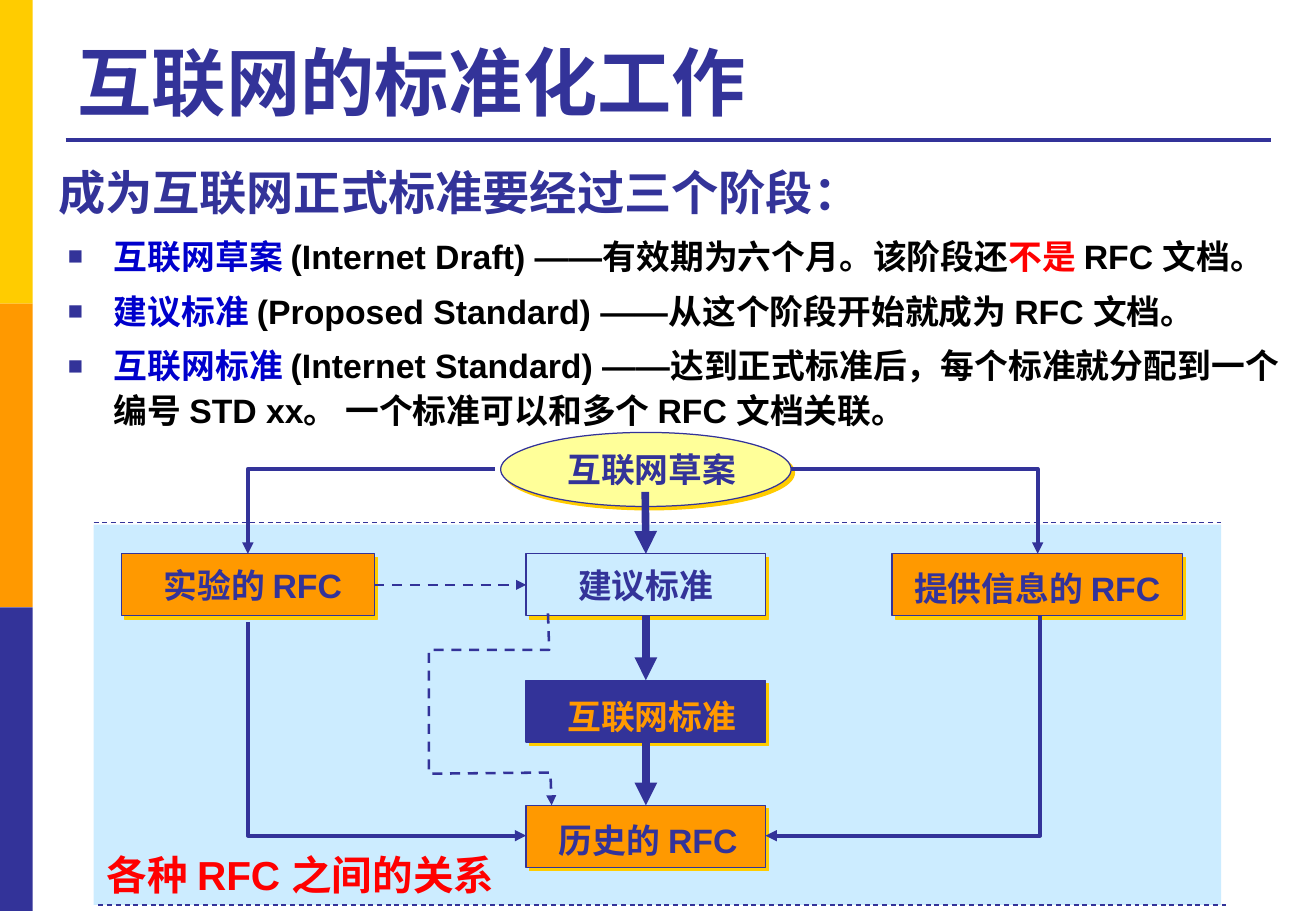
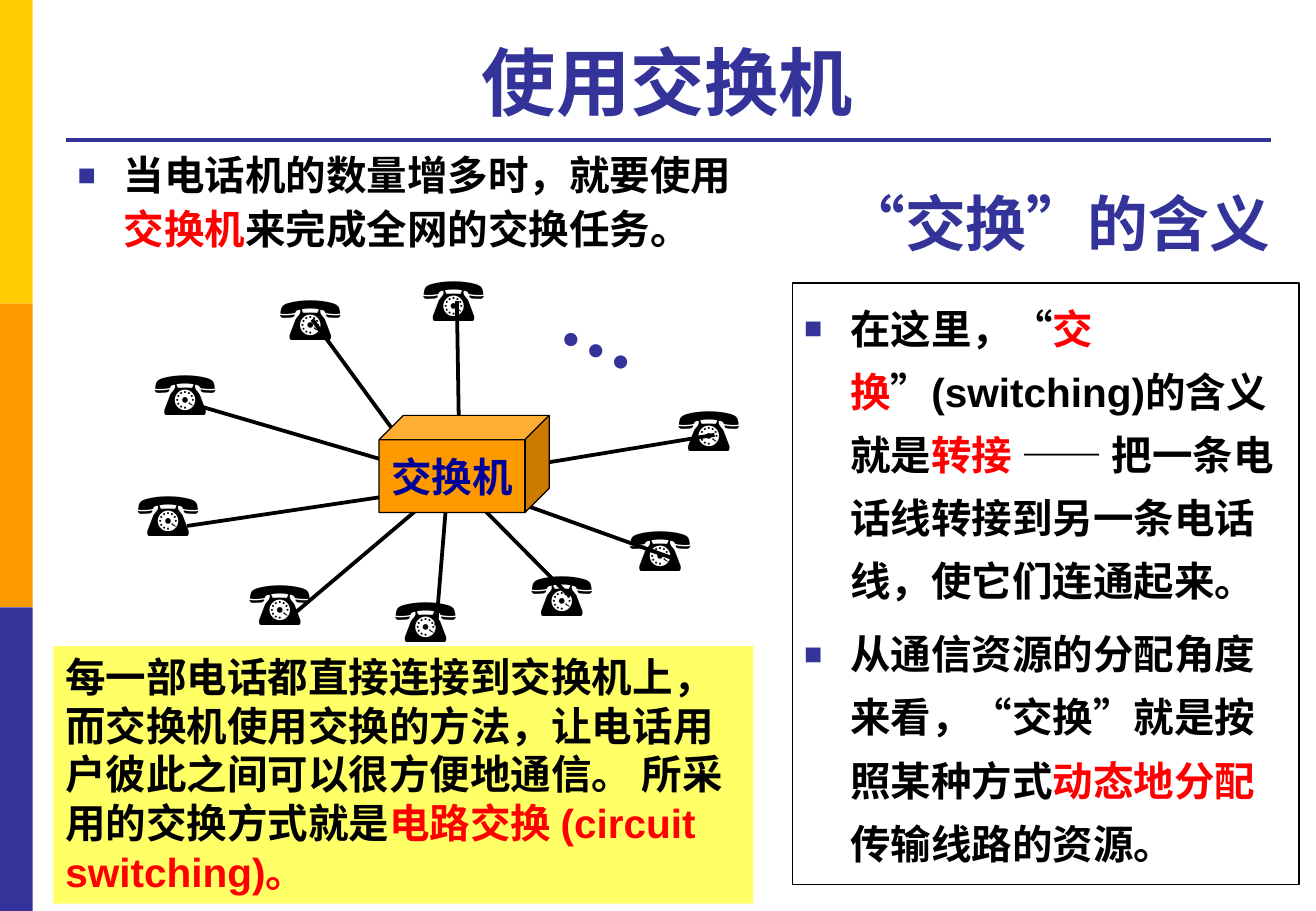
import pptx
import pptx.util
import pptx.dml.color
import pptx.enum.dml
import pptx.enum.lang
import pptx.enum.shapes
import pptx.enum.text
import pptx.oxml
import pptx.oxml.ns
from pptx.util import Inches

SHAPES = pptx.enum.shapes.MSO_SHAPE
ALIGN = pptx.enum.text.PP_ALIGN
ANCHOR = pptx.enum.text.MSO_ANCHOR
AUTO_SIZE = pptx.enum.text.MSO_AUTO_SIZE
CHINESE = pptx.enum.lang.MSO_LANGUAGE_ID.SIMPLIFIED_CHINESE

INDIGO, ORANGE, GOLD = "333399", "FF9900", "FFCC00"
SKY, BLUE, RED, BLACK = "CCECFF", "0000CC", "FF0000", "000000"


def color(hex_string):
    return pptx.dml.color.RGBColor.from_string(hex_string)


def add_xml(parent, xml):
    namespace = pptx.oxml.ns.nsdecls("a")
    parent.append(pptx.oxml.parse_xml(xml.replace(" ", f" {namespace} ", 1)))


def find_part(shape, tag):
    return shape._element.spPr.find(pptx.oxml.ns.qn(tag))


class Deck:
    """Holds the shared style and the slide being filled."""

    title_box = (0.54, 0.21, 9.91, 0.87)

    def __init__(self):
        self.presentation = pptx.Presentation()
        self.presentation.slide_width = Inches(10.83)
        self.presentation.slide_height = Inches(7.5)
        self.slide = None

    def new_slide(self, title, align=ALIGN.LEFT):
        layout = self.presentation.slide_layouts[6]
        self.slide = self.presentation.slides.add_slide(layout)
        # Side bands, rule and title
        for index, fill in enumerate((GOLD, ORANGE, INDIGO)):
            self.box((0, 2.5 * index, 0.27, 2.5), fill)
        self.line((0.54, 1.15), (10.46, 1.15))
        self.heading(self.title_box, title, 44, align)

    def box(self, place, fill=None, line=None, kind=SHAPES.RECTANGLE, shadow=False):
        shape = self.slide.shapes.add_shape(kind, *map(Inches, place))
        if fill:
            shape.fill.solid()
            shape.fill.fore_color.rgb = color(fill)
        else:
            shape.fill.background()
        if line:
            self.stroke(shape, line, 0.75)
        else:
            shape.line.fill.background()
        shape.shadow.inherit = False
        if shadow:
            add_xml(find_part(shape, "a:effectLst"),
                    '<a:outerShdw dist="35921" dir="2700000" algn="ctr" rotWithShape="0">'
                    f'<a:srgbClr val="{GOLD}"/></a:outerShdw>')
        return shape

    def node(self, place, text, fill, text_color=INDIGO, kind=SHAPES.RECTANGLE, nudge=(0, 0)):
        """A shadowed box of the flow; nudge moves its label right and down."""
        shape = self.box(place, fill, INDIGO, kind, shadow=True)
        self.add_text(shape, [[(text, text_color)]], 20, ALIGN.CENTER, ANCHOR.MIDDLE)
        self.insets(shape, left=2 * nudge[0], top=2 * nudge[1])
        return shape

    def insets(self, shape, left=0, top=0):
        frame = shape.text_frame
        frame.margin_left, frame.margin_top = Inches(left), Inches(top)
        frame.margin_right = frame.margin_bottom = 0

    def stroke(self, shape, line_color, width, dashed=False, arrow=False):
        shape.line.color.rgb = color(line_color)
        shape.line.width = pptx.util.Pt(width)
        if dashed:
            shape.line.dash_style = pptx.enum.dml.MSO_LINE.DASH
        if arrow:
            add_xml(find_part(shape, "a:ln"), '<a:tailEnd type="triangle"/>')

    def line(self, start, end, line_color=INDIGO, width=2.25, dashed=False, arrow=False,
             begin=None, finish=None):
        """Straight line; begin and finish are (shape, side) to join."""
        connector = self.slide.shapes.add_connector(
            pptx.enum.shapes.MSO_CONNECTOR.STRAIGHT, *map(Inches, (*start, *end)))
        if begin:
            connector.begin_connect(*begin)
        if finish:
            connector.end_connect(*finish)
        self.stroke(connector, line_color, width, dashed, arrow)
        add_xml(connector._element.spPr, "<a:effectLst />")

    def route(self, points, width=2.25, dashed=False):
        """Bent open arrow through the given points."""
        points = [(Inches(x), Inches(y)) for x, y in points]
        builder = self.slide.shapes.build_freeform(*points[0])
        builder.add_line_segments(points[1:], close=False)
        shape = builder.convert_to_shape()
        shape.fill.background()
        shape.shadow.inherit = False
        self.stroke(shape, INDIGO, width, dashed, arrow=True)

    def text(self, place, paragraphs, size, **style):
        shape = self.slide.shapes.add_textbox(*map(Inches, place))
        self.add_text(shape, paragraphs, size, **style)
        return shape

    def heading(self, place, text, size, align=ALIGN.LEFT, text_color=INDIGO):
        self.text(place, [[(text, text_color)]], size, align=align, anchor=ANCHOR.BOTTOM)

    def symbol(self, place, text, size, text_color, bold=False):
        shape = self.text(place, [[(text, text_color)]], size, font="Times New Roman",
                          bold=bold, wrap=False)
        shape.text_frame.auto_size = AUTO_SIZE.SHAPE_TO_FIT_TEXT
        return shape

    def add_text(self, shape, paragraphs, size, align=ALIGN.LEFT, anchor=ANCHOR.TOP,
                 font="Arial", bold=True, wrap=True, bullet_spacing=None):
        """Fill a shape; each paragraph is a list of (text, colour) runs."""
        frame = shape.text_frame
        frame.word_wrap = wrap
        frame.vertical_anchor = anchor
        for index, runs in enumerate(paragraphs):
            paragraph = frame.add_paragraph() if index else frame.paragraphs[0]
            paragraph.alignment = align
            if bullet_spacing:
                self.bullet(paragraph, bullet_spacing)
            for text, text_color in runs:
                run = paragraph.add_run()
                run.text = text
                run.font.name = font
                run.font.size = pptx.util.Pt(size)
                run.font.bold = bold
                run.font.language_id = CHINESE
                run.font.color.rgb = color(text_color)

    def bullet(self, paragraph, spacing):
        paragraph.line_spacing = spacing
        paragraph.space_before = pptx.util.Pt(6)
        properties = paragraph._p.get_or_add_pPr()
        properties.set("marL", str(Inches(0.38)))
        properties.set("indent", str(-Inches(0.38)))
        for xml in (f'<a:buClr ><a:srgbClr val="{INDIGO}"/></a:buClr>',
                    '<a:buSzPct val="75000"/>',
                    '<a:buFont typeface="Arial"/>',
                    '<a:buChar char="■"/>'):
            add_xml(properties, xml)


def build_standards(deck):
    deck.new_slide("互联网的标准化工作")
    deck.heading((0.38, 0.99, 7.64, 0.87), "成为互联网正式标准要经过三个阶段：", 28)
    deck.text((0.46, 1.86, 10.24, 2.13), [
        [("互联网草案 ", BLUE),
         ("(Internet Draft) ——有效期为六个月。该阶段还", BLACK),
         ("不是 ", RED), ("RFC 文档。", BLACK)],
        [("建议标准 ", BLUE),
         ("(Proposed Standard) ——从这个阶段开始就成为 RFC 文档。", BLACK)],
        [("互联网标准 ", BLUE),
         ("(Internet Standard) ——达到正式标准后，每个标准就分配到一个编号 STD xx。 "
          "一个标准可以和多个 RFC 文档关联。", BLACK)],
    ], 20, bullet_spacing=1.1)

    # Panel with dashed edges
    deck.box((0.77, 4.32, 9.28, 3.13), SKY)
    for left, top in ((0.77, 4.3), (0.81, 7.45)):
        deck.line((left, top), (left + 9.28, top), width=0.75, dashed=True)

    # Documents
    middle, width, height = 4.33, 1.97, 0.51
    proposed = deck.node((middle, 4.56, width, height), "建议标准", SKY)
    standard = deck.node((middle, 5.6, width, height), "互联网标准", INDIGO, ORANGE,
                         nudge=(0.05, 0.04))
    historic = deck.node((middle, 6.63, width, height), "历史的 RFC", ORANGE,
                         nudge=(0.02, 0.03))
    deck.node((7.34, 4.56, 2.39, height), "提供信息的 RFC", ORANGE, nudge=(0, 0.03))
    experimental = deck.node((1, 4.56, 2.08, height), "实验的 RFC", ORANGE, nudge=(0.04, 0))
    deck.node((4.12, 3.56, 2.39, 0.61), "互联网草案", "FFFF99", kind=SHAPES.OVAL,
              nudge=(0.05, 0))

    # Main track
    axis = 5.31
    deck.line((axis, 4.05), (axis, 4.56), width=4.5, arrow=True, finish=(proposed, 0))
    for upper, lower, top in ((proposed, standard, 5.07), (standard, historic, 6.12)):
        deck.line((axis, top), (axis, top + 0.51), width=4.5, arrow=True,
                  begin=(upper, 2), finish=(lower, 0))

    # Side tracks
    deck.route([(6.51, 3.86), (8.54, 3.86), (8.54, 4.56)])
    deck.route([(4.07, 3.86), (2.04, 3.86), (2.04, 4.56)])
    deck.route([(2.04, 5.12), (2.04, 6.88), (4.33, 6.88)])
    deck.route([(8.56, 5.07), (8.56, 6.88), (6.3, 6.88)])
    deck.line((3.08, 4.82), (4.33, 4.82), width=1.5, dashed=True, arrow=True,
              begin=(experimental, 3), finish=(proposed, 1))
    deck.route([(4.51, 5.05), (4.52, 5.35), (3.53, 5.35), (3.53, 6.37), (4.53, 6.36),
                (4.54, 6.63)], 1.5, dashed=True)
    deck.heading((0.22, 6.58, 4.58, 0.87), "各种 RFC 之间的关系 ", 24, ALIGN.CENTER, RED)


def build_switch(deck):
    deck.new_slide("使用交换机", ALIGN.CENTER)
    deck.text((0.54, 1.15, 5.82, 1.02), [
        [("当电话机的数量增多时，就要使用", BLACK), ("交换机", RED),
         ("来完成全网的交换任务。", BLACK)],
    ], 24, bullet_spacing=1.1)
    dots = deck.symbol((4.56, 2.24, 0.88, 0.91), "…", 48, INDIGO, bold=True)
    dots.rotation = 24.3

    # Telephones: corner of the symbol, then the two ends of its wire
    telephones = [
        ((5.08, 4.16), (5.52, 4.59), (4.02, 4.05)),
        ((3.15, 4.74), (3.59, 5.15), (3.68, 4.05)),
        ((1.03, 3.87), (1.54, 4.33), (3.42, 4.05)),
        ((2.2, 2.25), (2.57, 2.63), (3.3, 3.63)),
        ((3.38, 2.1), (3.76, 2.48), (3.78, 3.74)),
        ((5.48, 3.17), (5.88, 3.58), (4.19, 3.86)),
        ((1.17, 2.87), (1.63, 3.34), (3.37, 3.85)),
        ((1.95, 4.6), (2.4, 5.07), (3.51, 4.13)),
        ((4.27, 4.53), (4.69, 4.91), (3.68, 3.89)),
    ]
    for corner, start, end in telephones:
        deck.line(start, end, BLACK)
        deck.symbol((*corner, 0.88, 0.71), "☎", 36, BLACK)

    # Switch
    switch = deck.box((3.12, 3.42, 1.4, 0.8), ORANGE, BLACK, SHAPES.CUBE)
    deck.add_text(switch, [[("交换机", "000099")]], 24, ALIGN.CENTER, ANCHOR.MIDDLE,
                  font="Times New Roman")
    deck.insets(switch)

    # Explanations
    summary = deck.box((0.44, 5.32, 5.76, 2.12), "FFFF66")
    deck.add_text(summary, [
        [("每一部电话都直接连接到交换机上，而交换机使用交换的方法，让电话用户彼此之间可以"
          "很方便地通信。 所采用的交换方式就是", BLACK),
         ("电路交换 (circuit switching)。", RED)],
    ], 24)
    meaning = deck.box((6.52, 2.33, 4.17, 4.95), line=BLACK)
    deck.add_text(meaning, [
        [("在这里，“", BLACK), ("交换", RED), ("”(switching)的含义就是", BLACK),
         ("转接 ", RED), ("—— 把一条电话线转接到另一条电话线，使它们连通起来。", BLACK)],
        [("从通信资源的分配角度来看，“交换”就是按照某种方式", BLACK),
         ("动态地分配", RED), ("传输线路的资源。", BLACK)],
    ], 24, bullet_spacing=1.3)
    deck.heading((6.68, 1.31, 4.04, 0.87), "“交换”的含义", 36, ALIGN.CENTER)


def main():
    deck = Deck()
    build_standards(deck)
    build_switch(deck)
    deck.presentation.save("out.pptx")


if __name__ == "__main__":
    main()
